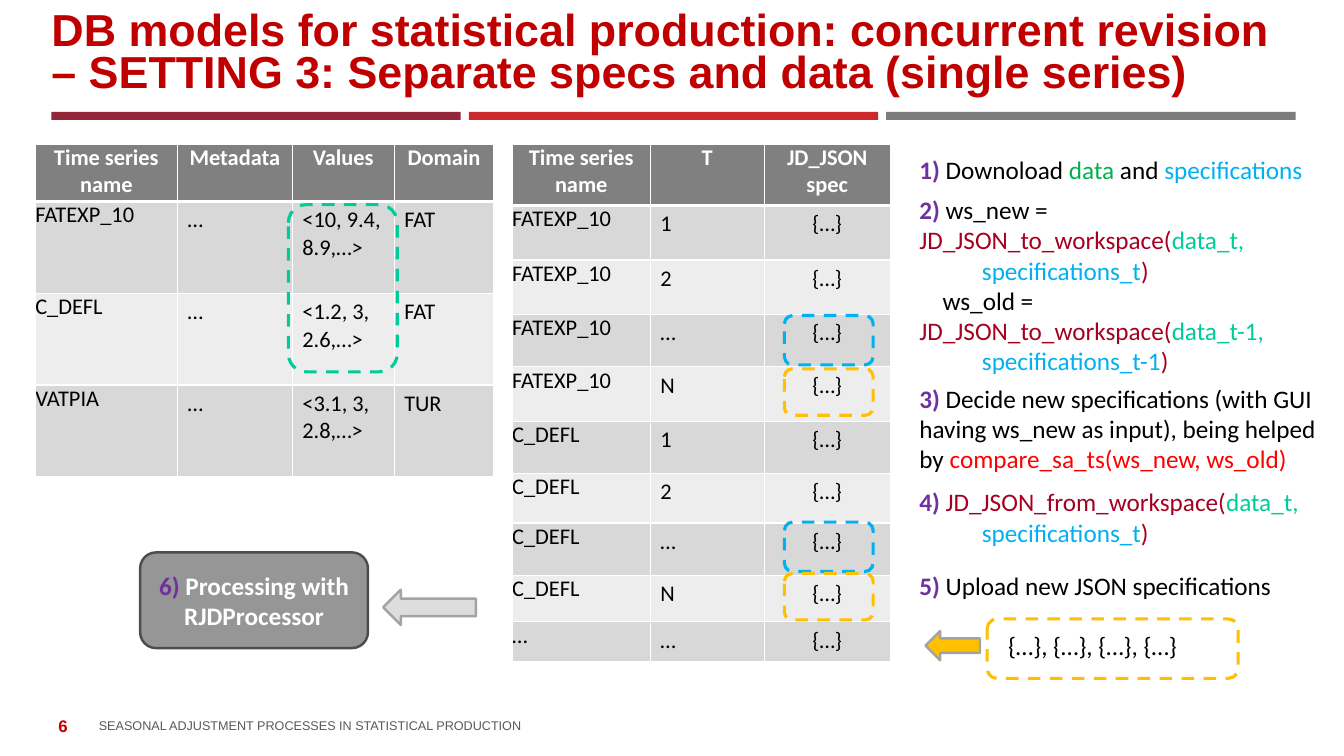
from lxml.etree import SubElement
from pptx import Presentation
from pptx.dml.color import RGBColor
from pptx.enum.dml import MSO_LINE
from pptx.enum.shapes import MSO_SHAPE
from pptx.enum.text import MSO_ANCHOR, PP_ALIGN
from pptx.oxml.ns import qn
from pptx.util import Inches, Pt

HUES = {
    "wine": "942639", "red": "CC2A2A", "steel": "7B7C7E", "title": "C00000",
    "foot": "595959", "head": "808080", "odd": "D8D8D8", "even": "EDEDED",
    "white": "FFFFFF", "black": "000000", "num": "7030A0", "green": "00B050",
    "blue": "00B0F0", "code": "A50021", "teal": "00CC99", "alert": "FF0000",
    "gold": "FFC000", "box": "969696", "edge": "4D4D4D", "rim": "A3A3A3",
    "pale": "DDDDDD",
}


def hue(name):
    return RGBColor.from_string(HUES[name])


def style(font, size, color, bold=False, face="Calibri"):
    font.name, font.size, font.bold = face, Pt(size), bold
    font.color.rgb = hue(color)


def write(para, runs, size=18, bold=False):
    style(para.font, size, "black", bold)
    for text, color in runs:
        run = para.add_run()
        run.text = text
        run.font.color.rgb = hue(color)
        if color == "num":
            run.font.bold = True


def text_box(slide, box, wrap=True, inset=True, anchor=MSO_ANCHOR.TOP):
    frame = slide.shapes.add_textbox(*map(Inches, box)).text_frame
    frame.word_wrap = wrap
    frame.vertical_anchor = anchor
    if not inset:
        frame.margin_left = frame.margin_right = 0
        frame.margin_top = frame.margin_bottom = 0
    return frame


def shape(slide, kind, box, fill=None, line=None, width=1.75):
    item = slide.shapes.add_shape(kind, *map(Inches, box))
    item.shadow.inherit = False
    if fill:
        item.fill.solid()
        item.fill.fore_color.rgb = hue(fill)
    else:
        item.fill.background()
    if line:
        item.line.color.rgb = hue(line)
        item.line.width = Pt(width)
    else:
        item.line.fill.background()
    return item


def dash(slide, box, color):
    item = shape(slide, MSO_SHAPE.ROUNDED_RECTANGLE, box, None, color, 2.25)
    item.line.dash_style = MSO_LINE.DASH


def header(slide, x, y):
    for i, color in enumerate(("wine", "red", "steel")):
        box = (x + i * 4.14, y + 0.98, 4.06, 0.08)
        shape(slide, MSO_SHAPE.RECTANGLE, box, color)
    frame = text_box(slide, (x, y, 12.32, 0.84), True, False, MSO_ANCHOR.BOTTOM)
    para = frame.paragraphs[0]
    para.text = ("DB models for statistical production: concurrent revision "
                 "– SETTING 3: Separate specs and data (single series)")
    para.line_spacing = Pt(30)
    style(para.font, 32, "title", True, "Arial")


def footer(slide, x, y):
    frame = text_box(slide, (x, y, 0.55, 0.4), anchor=MSO_ANCHOR.MIDDLE)
    para = frame.paragraphs[0]
    para.text = "6"
    para.alignment = PP_ALIGN.CENTER
    style(para.font, 12, "title", True, "Arial")
    frame = text_box(slide, (x + 0.63, y - 0.01, 10.55, 0.28), True, False,
                     MSO_ANCHOR.BOTTOM)
    para = frame.paragraphs[0]
    para.text = "SEASONAL ADJUSTMENT PROCESSES IN STATISTICAL PRODUCTION"
    style(para.font, 9, "foot", face="Arial")


def borders(cell, row):
    props = cell._tc.get_or_add_tcPr()
    for side in "LRTB":
        thick = (row, side) in ((0, "B"), (1, "T"))
        line = SubElement(props, qn("a:ln" + side), w=str(Pt(3 if thick else 1)))
        fill = SubElement(line, qn("a:solidFill"))
        SubElement(fill, qn("a:srgbClr"), val=HUES["white"])


def grid(slide, x, y, cols, rows, data, mid=None):
    box = (x, y, sum(cols), sum(rows))
    table = slide.shapes.add_table(len(rows), len(cols), *map(Inches, box)).table
    for col, width in zip(table.columns, cols):
        col.width = Inches(width)
    for r, (height, texts) in enumerate(zip(rows, data)):
        table.rows[r].height = Inches(height)
        for c, text in enumerate(texts):
            cell = table.cell(r, c)
            borders(cell, r)
            cell.fill.solid()
            tone = "head" if r == 0 else "odd" if r % 2 else "even"
            cell.fill.fore_color.rgb = hue(tone)
            if r == 0 or c == 0:
                cell.margin_left = cell.margin_right = 0
                cell.margin_top = cell.margin_bottom = 0
            para = cell.text_frame.paragraphs[0]
            para.text = text
            if r == 0 or c == mid:
                para.alignment = PP_ALIGN.CENTER
            style(para.font, 16, "white" if r == 0 else "black", r == 0)


def series(slide, x, y):
    data = [("Time series name", "Metadata", "Values", "Domain"),
            ("FATEXP_10", "…", "<10, 9.4, 8.9,…>", "FAT"),
            ("C_DEFL", "…", "<1.2, 3, 2.6,…>", "FAT"),
            ("VATPIA", "…", "<3.1, 3, 2.8,…>", "TUR")]
    grid(slide, x, y, (1.41, 1.14, 1.01, 0.99), (0.57, 0.91, 0.91, 0.91), data)
    dash(slide, (x + 2.51, y + 0.6, 1.08, 1.66), "teal")


def specs(slide, x, y):
    data = [("Time series name", "T", "JD_JSON spec")]
    data += [(name, t, "{…}") for name in ("FATEXP_10", "C_DEFL")
             for t in ("1", "2", "…", "N")]
    data.append(("…", "…", "{…}"))
    rows = (0.61, 0.54, 0.54, 0.52, 0.54, 0.52, 0.49, 0.52, 0.46, 0.4)
    grid(slide, x, y, (1.37, 1.13, 1.25), rows, data, 2)
    for top, gap in ((1.7, 0.53), (3.75, 0.51)):
        dash(slide, (x + 2.7, y + top, 0.88, 0.49), "blue")
        dash(slide, (x + 2.7, y + top + gap, 0.88, 0.46), "gold")


def steps(slide, x, y):
    notes = [
        (0, 4.34, 0.4, [(0, [("1) ", "num"), ("Downoload ", "black"),
                             ("data", "green"), (" and ", "black"),
                             ("specifications", "blue")])]),
        (0.4, 4.09, 1.92, [
            (0, [("2) ", "num"), ("ws_new =", "black")]),
            (0, [("JD_JSON_to_workspace(", "code"), ("data_t,", "teal")]),
            (0.62, [("specifications_t", "blue"), (")", "code")]),
            (0.23, [("ws_old =", "black")]),
            (0, [("JD_JSON_to_workspace(", "code"), ("data_t-1,", "teal")]),
            (0.62, [("specifications_t-1", "blue"), (")", "code")])]),
        (2.27, 4.33, 1.01, [
            (0, [("3)", "num"),
                 (" Decide new specifications (with GUI having ws_new as "
                  "input), being helped by ", "black"),
                 ("compare_sa_ts(ws_new, ws_old)", "alert")])]),
        (3.3, 4.33, 0.71, [
            (0, [("4) ", "num"), ("JD_JSON_from_workspace(", "code"),
                 ("data_t,", "teal")]),
            (0.62, [("specifications_t", "blue"), (")", "code")])]),
        (4.13, 3.81, 0.4, [(0, [("5) ", "num"),
                                ("Upload new JSON specifications", "black")])]),
    ]
    for top, width, height, lines in notes:
        frame = text_box(slide, (x, y + top, width, height))
        for i, (indent, runs) in enumerate(lines):
            para = frame.add_paragraph() if i else frame.paragraphs[0]
            para._p.get_or_add_pPr().set("marL", str(Inches(indent)))
            write(para, runs)
    frame = text_box(slide, (x + 0.88, y + 4.72, 2.19, 0.4), False)
    write(frame.paragraphs[0], [("{…}, {…}, {…}, {…}", "black")])
    shape(slide, MSO_SHAPE.LEFT_ARROW, (x + 0.16, y + 4.78, 0.54, 0.29),
          "gold", "rim")
    dash(slide, (x + 0.77, y + 4.66, 2.49, 0.59), "gold")


def process(slide, x, y):
    box = shape(slide, MSO_SHAPE.ROUNDED_RECTANGLE, (x, y, 2.26, 0.95),
                "box", "edge")
    frame = box.text_frame
    frame.vertical_anchor = MSO_ANCHOR.MIDDLE
    lines = ([("6)", "num"), (" Processing with", "white")],
             [("RJDProcessor", "white")])
    for i, runs in enumerate(lines):
        para = frame.add_paragraph() if i else frame.paragraphs[0]
        para.alignment = PP_ALIGN.CENTER
        write(para, runs, bold=True)
    arrow = shape(slide, MSO_SHAPE.RIGHT_ARROW, (x + 2.41, y + 0.37, 0.92, 0.35),
                  "pale", "rim")
    arrow.rotation = 180


def main():
    deck = Presentation()
    deck.slide_width, deck.slide_height = Inches(13.33), Inches(7.5)
    slide = deck.slides.add_slide(deck.slide_layouts[6])
    header(slide, 0.51, 0.13)
    footer(slide, 0.35, 7)
    series(slide, 0.35, 1.43)
    specs(slide, 5.08, 1.43)
    steps(slide, 9.02, 1.48)
    process(slide, 1.39, 5.48)
    deck.save("out.pptx")


if __name__ == "__main__":
    main()
